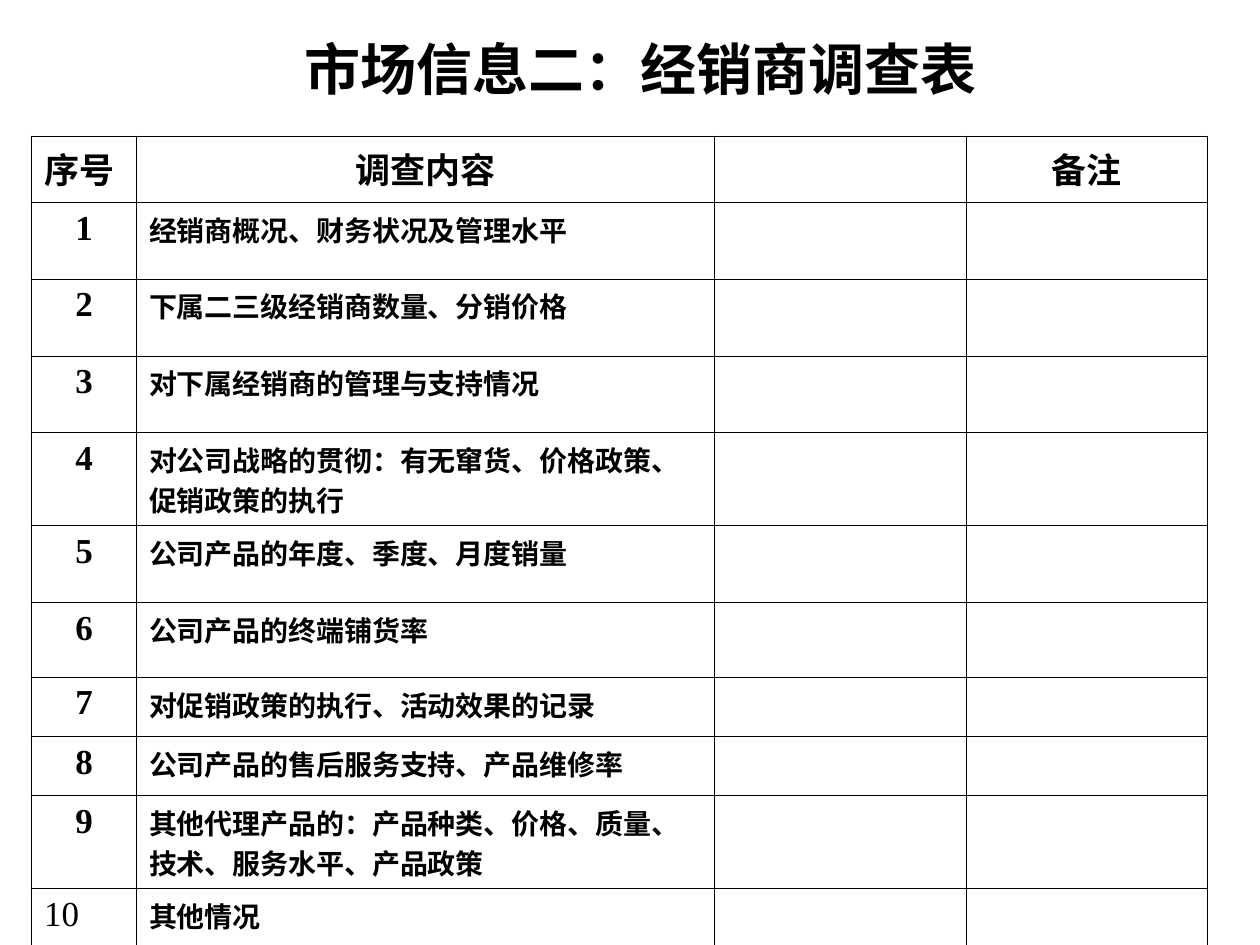
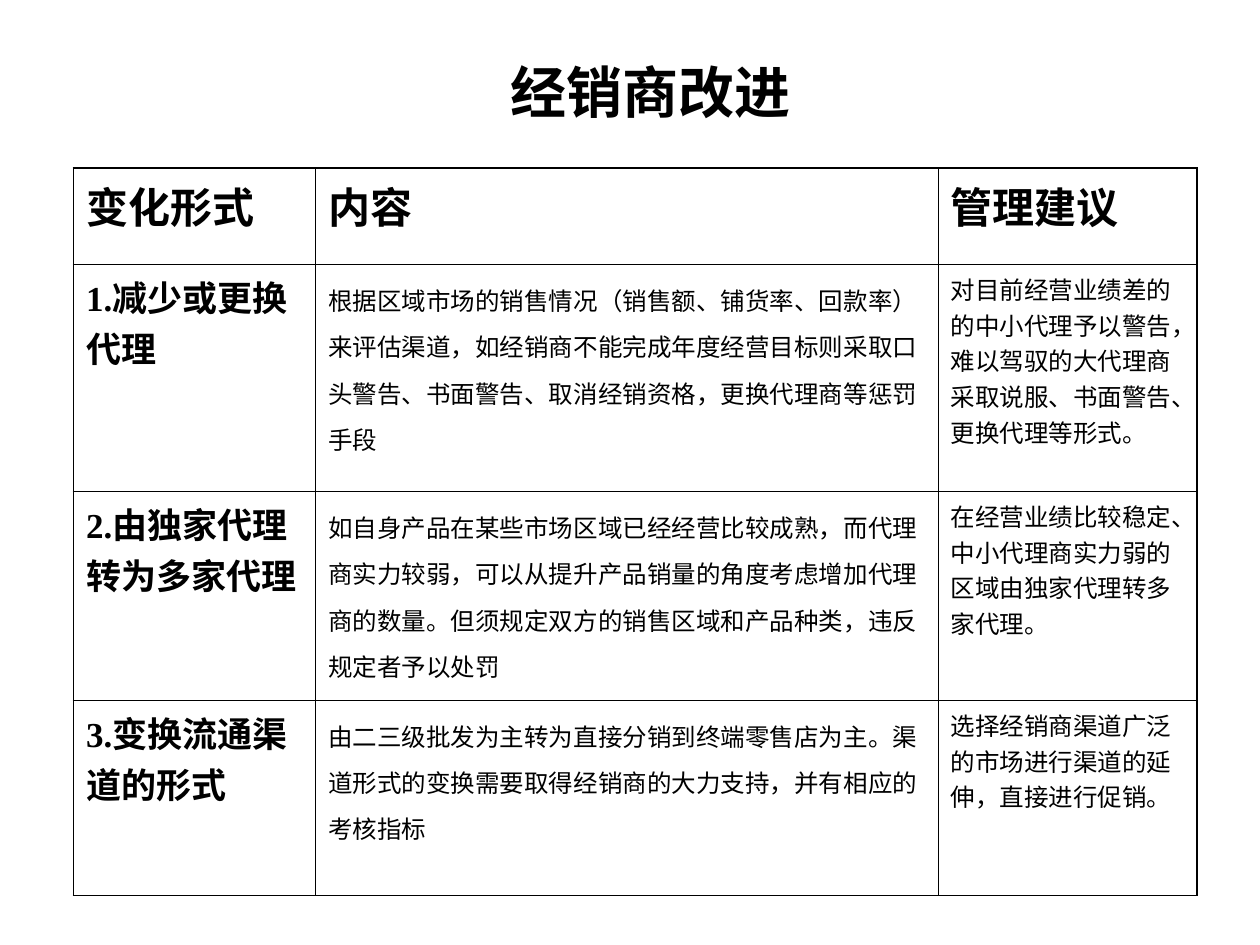
from dataclasses import dataclass

from lxml.etree import SubElement
from pptx import Presentation
from pptx.dml.color import RGBColor
from pptx.enum.lang import MSO_LANGUAGE_ID
from pptx.enum.text import MSO_ANCHOR, PP_ALIGN
from pptx.oxml.ns import qn
from pptx.util import Pt


@dataclass(frozen=True)
class Theme:
    font: str = "Times New Roman"
    ink: RGBColor = RGBColor(0, 0, 0)
    title: int = 32
    large: int = 24
    medium: int = 20
    small: int = 16
    body: int = 14
    outer_line: float = 1.08
    inner_line: float = 0.45


@dataclass(frozen=True)
class TextStyle:
    size: int
    bold: bool = True
    align: PP_ALIGN = PP_ALIGN.LEFT
    line_spacing: float = 1.0


THEME = Theme()
TITLE = TextStyle(THEME.title, align=PP_ALIGN.CENTER)
HEADING = TextStyle(THEME.medium)
HEADING_CENTERED = TextStyle(THEME.medium, align=PP_ALIGN.CENTER)
HEADING_LARGE = TextStyle(THEME.large)
NUMBER_PLAIN = TextStyle(THEME.medium, bold=False)
SURVEY_ITEM = TextStyle(THEME.small)
BODY = TextStyle(THEME.body, bold=False)
BODY_LOOSE = TextStyle(THEME.body, bold=False, line_spacing=1.3)


class Deck:
    def __init__(self, theme):
        self.theme = theme
        self.prs = Presentation()
        self.prs.slide_width, self.prs.slide_height = Pt(720), Pt(540)
        self.slide = None

    def add_slide(self):
        self.slide = self.prs.slides.add_slide(self.prs.slide_layouts[6])

    def set_text(self, tf, text, style):
        p = tf.paragraphs[0]
        p.text = text
        p.alignment = style.align
        p.line_spacing = style.line_spacing
        font = p.font
        font.name = self.theme.font
        font.size = Pt(style.size)
        font.bold = style.bold
        font.color.rgb = self.theme.ink
        font.language_id = MSO_LANGUAGE_ID.SIMPLIFIED_CHINESE

    def title(self, text, left, top, width, height=42):
        sp = self.slide.shapes.add_textbox(Pt(left), Pt(top), Pt(width), Pt(height))
        tf = sp.text_frame
        tf.word_wrap = True
        tf.vertical_anchor = MSO_ANCHOR.MIDDLE
        self.set_text(tf, text, TITLE)

    def border(self, cell, side, width):
        ln = SubElement(cell._tc.get_or_add_tcPr(), qn(f"a:ln{side}"), w=str(Pt(width)))
        fill = SubElement(ln, qn("a:solidFill"))
        SubElement(fill, qn("a:srgbClr"), val=str(self.theme.ink))

    def table(self, left, top, widths, heights, rows):
        """Draw rows of (text, style) cells with a heavier outer frame."""
        frame = self.slide.shapes.add_table(
            len(heights), len(widths), Pt(left), Pt(top), Pt(sum(widths)), Pt(sum(heights)))
        table = frame.table
        table.first_row = table.horz_banding = False
        for column, width in zip(table.columns, widths):
            column.width = Pt(width)
        for row, height in zip(table.rows, heights):
            row.height = Pt(height)
        last_row, last_col = len(heights) - 1, len(widths) - 1
        for i, row in enumerate(rows):
            for j, (text, style) in enumerate(row):
                cell = table.cell(i, j)
                edges = {"L": j == 0, "R": j == last_col, "T": i == 0, "B": i == last_row}
                for side, is_outer in edges.items():
                    self.border(cell, side,
                                self.theme.outer_line if is_outer else self.theme.inner_line)
                cell.fill.background()
                if text:
                    self.set_text(cell.text_frame, text, style)


def survey_slide(deck):
    deck.add_slide()
    deck.title("市场信息二：经销商调查表", 96, 18, 540)
    items = [
        "经销商概况、财务状况及管理水平",
        "下属二三级经销商数量、分销价格",
        "对下属经销商的管理与支持情况",
        "对公司战略的贯彻：有无窜货、价格政策、促销政策的执行",
        "公司产品的年度、季度、月度销量",
        "公司产品的终端铺货率",
        "对促销政策的执行、活动效果的记录",
        "公司产品的售后服务支持、产品维修率",
        "其他代理产品的：产品种类、价格、质量、技术、服务水平、产品政策",
        "其他情况",
    ]
    blank = ("", SURVEY_ITEM)
    rows = [[("序号", HEADING), ("调查内容", HEADING_CENTERED), blank,
             ("备注", HEADING_CENTERED)]]
    for number, item in enumerate(items, 1):
        number_style = HEADING_CENTERED if number < len(items) else NUMBER_PLAIN
        rows.append([(str(number), number_style), (item, SURVEY_ITEM), blank, blank])
    tall, two_line, short = 43.9, 53.1, 33.8
    heights = [37.7, tall, tall, tall, two_line, tall, 42.8, short, short, two_line, short]
    deck.table(18, 78, [60, 330, 144, 138], heights, rows)


def improvement_slide(deck):
    deck.add_slide()
    deck.title("经销商改进", 255, 31, 234)
    changes = [
        ("1.减少或更换代理",
         "根据区域市场的销售情况（销售额、铺货率、回款率）来评估渠道，如经销商不能完成年度经营目标"
         "则采取口头警告、书面警告、取消经销资格，更换代理商等惩罚手段",
         "对目前经营业绩差的的中小代理予以警告，难以驾驭的大代理商采取说服、书面警告、更换代理等形式。"),
        ("2.由独家代理转为多家代理",
         "如自身产品在某些市场区域已经经营比较成熟，而代理商实力较弱，可以从提升产品销量的角度考虑"
         "增加代理商的数量。但须规定双方的销售区域和产品种类，违反规定者予以处罚",
         "在经营业绩比较稳定、中小代理商实力弱的区域由独家代理转多家代理。"),
        ("3.变换流通渠道的形式",
         "由二三级批发为主转为直接分销到终端零售店为主。渠道形式的变换需要取得经销商的大力支持，"
         "并有相应的考核指标",
         "选择经销商渠道广泛的市场进行渠道的延伸，直接进行促销。"),
    ]
    rows = [[(text, HEADING_LARGE) for text in ("变化形式", "内容", "管理建议")]]
    rows += [list(zip(change, (HEADING, BODY_LOOSE, BODY))) for change in changes]
    deck.table(42, 96, [138.3, 355.7, 148], [55.2, 129.7, 119.4, 111.5], rows)


def main():
    deck = Deck(THEME)
    survey_slide(deck)
    improvement_slide(deck)
    deck.prs.save("out.pptx")


if __name__ == "__main__":
    main()
